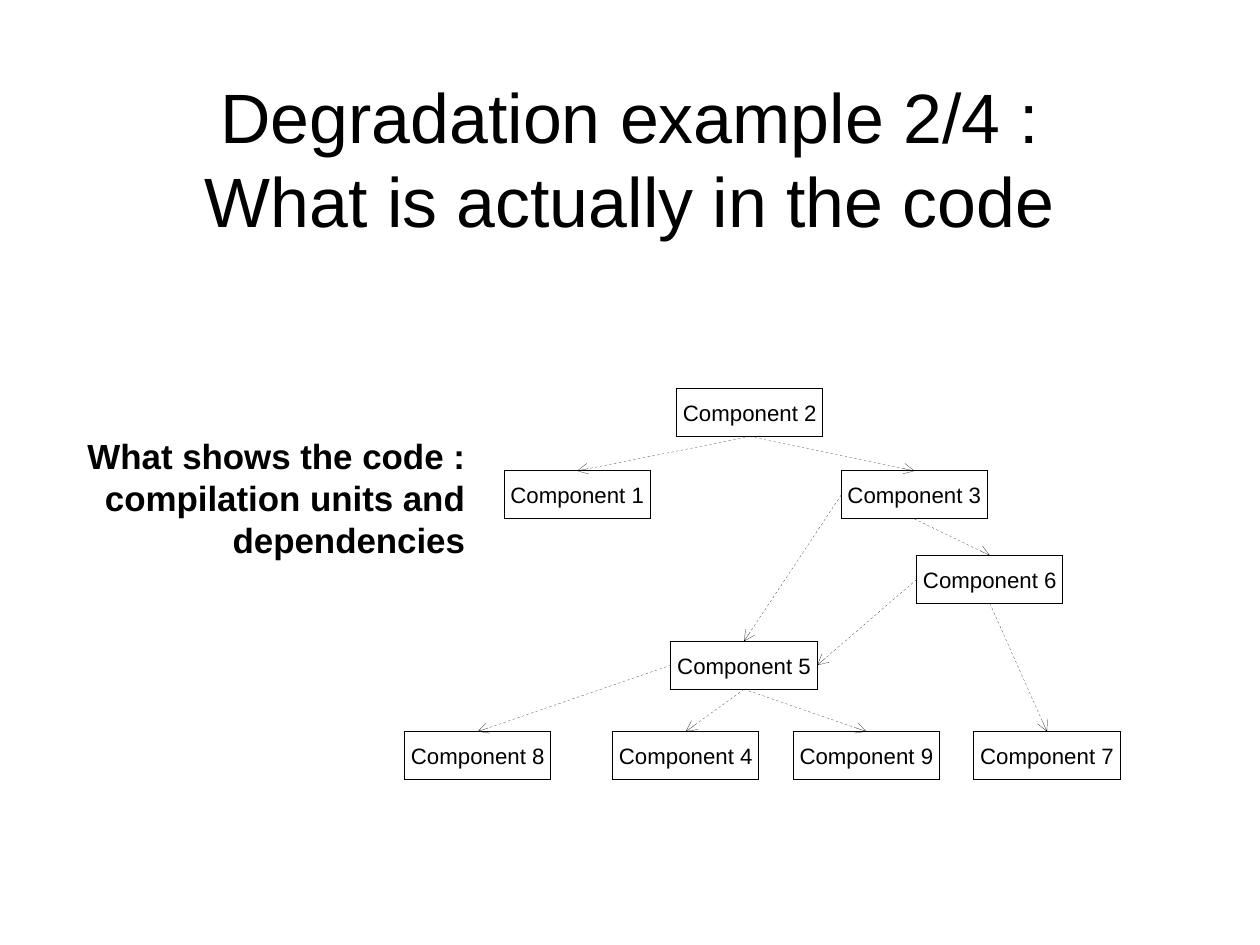
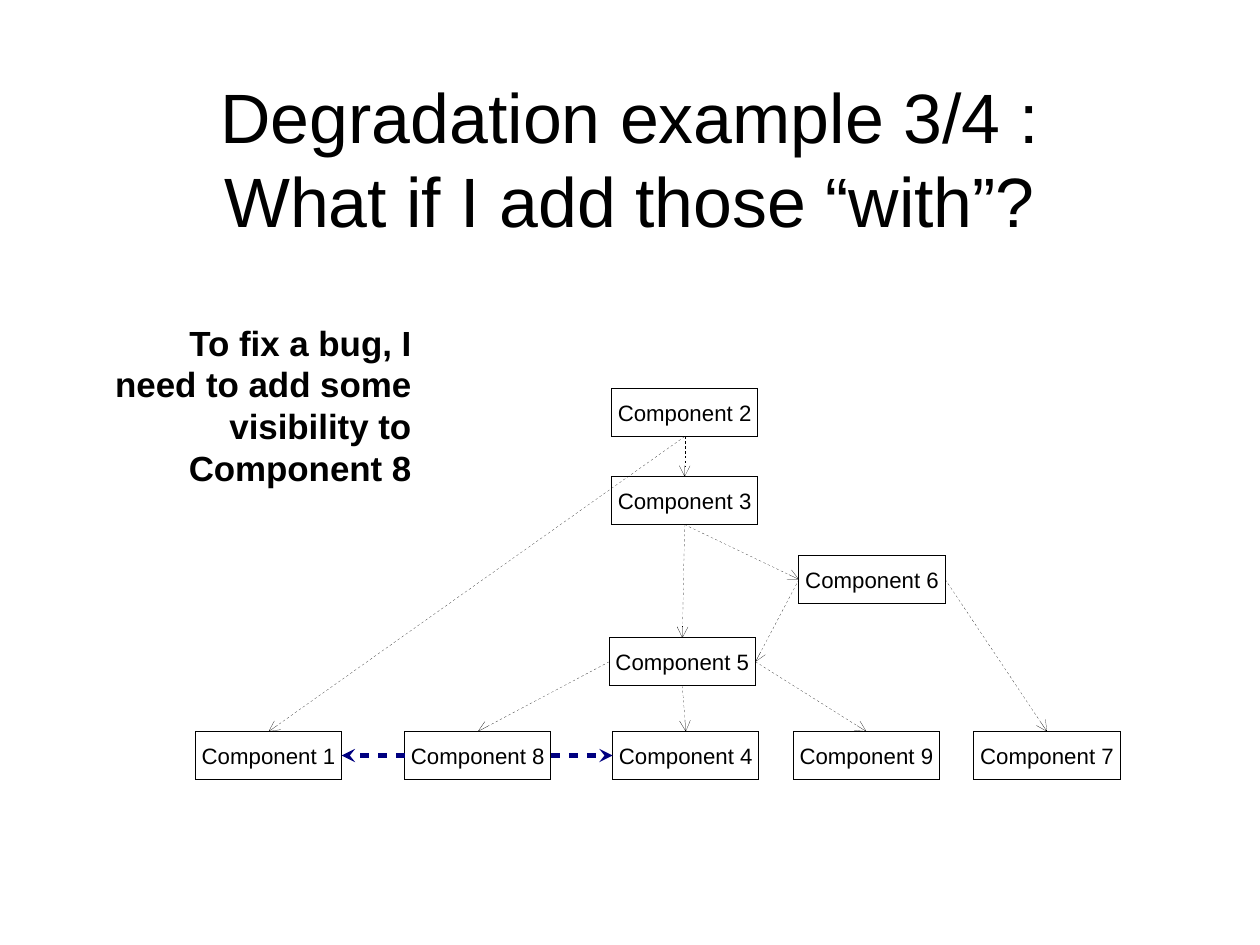
from dataclasses import dataclass

from lxml.etree import SubElement
from pptx import Presentation
from pptx.dml.color import RGBColor
from pptx.enum.shapes import MSO_CONNECTOR, MSO_SHAPE
from pptx.enum.text import MSO_ANCHOR, MSO_AUTO_SIZE, PP_ALIGN
from pptx.oxml.ns import qn
from pptx.util import Inches, Pt


@dataclass(frozen=True)
class Theme:
    font: str = "Arial"
    ink: RGBColor = RGBColor(0x00, 0x00, 0x00)
    accent: RGBColor = RGBColor(0x00, 0x00, 0x80)
    title_size: float = 44
    note_size: float = 22
    label_size: float = 14
    hairline: float = 0.01
    thick_line: float = 2.83


theme = Theme()
TOP, LEFT, BOTTOM, RIGHT = range(4)
BOX_WIDTH, BOX_HEIGHT = 1.28, 0.42

# Components that keep their place on both slides: number -> left, top
bottom_row = {number: (left, 6.4) for number, left in
              {8: 3.54, 4: 5.36, 9: 6.94, 7: 8.52}.items()}

# Dependencies: from component, its side, to component, its side
slides = [
    {
        "title": ["Degradation example 2/4 :", "What is actually in the code"],
        "note": "What shows the code : compilation units and dependencies",
        "note_box": (0.64, 3.8, 3.43, 1.44),
        "components": {1: (4.41, 4.12), 3: (7.36, 4.12), 2: (5.92, 3.4),
                       6: (8.02, 4.86), 5: (5.87, 5.61)},
        "dependencies": [
            (3, LEFT, 5, TOP), (3, BOTTOM, 6, TOP), (5, BOTTOM, 9, TOP),
            (5, BOTTOM, 4, TOP), (5, LEFT, 8, TOP), (2, BOTTOM, 3, TOP),
            (2, BOTTOM, 1, TOP), (6, BOTTOM, 7, TOP), (6, LEFT, 5, RIGHT),
        ],
        "added": [],
    },
    {
        "title": ["Degradation example 3/4 :", "What if I add those “with”?"],
        "note": "To fix a bug, I need to add some visibility to Component 8",
        "note_box": (0.99, 2.81, 2.61, 1.58),
        "components": {1: (1.71, 6.4), 3: (5.35, 4.17), 2: (5.35, 3.4),
                       6: (6.99, 4.86), 5: (5.33, 5.58)},
        "dependencies": [
            (3, BOTTOM, 5, TOP), (3, BOTTOM, 6, LEFT), (5, RIGHT, 9, TOP),
            (5, BOTTOM, 4, TOP), (5, LEFT, 8, TOP), (2, BOTTOM, 3, TOP),
            (2, BOTTOM, 1, TOP), (6, RIGHT, 7, TOP), (6, LEFT, 5, RIGHT),
        ],
        "added": [(8, LEFT, 1, RIGHT), (8, RIGHT, 4, LEFT)],
    },
]


def write_text(shape, lines, size, align, anchor, margin=0, bold=False, wrap=True):
    frame = shape.text_frame
    frame_format = {"word_wrap": wrap, "auto_size": MSO_AUTO_SIZE.NONE,
                    "vertical_anchor": anchor}
    for side in ("left", "top", "right", "bottom"):
        frame_format[f"margin_{side}"] = Inches(margin)
    for name, value in frame_format.items():
        setattr(frame, name, value)
    paragraph = frame.paragraphs[0]
    paragraph.alignment = align
    for index, line in enumerate(lines):
        if index:
            paragraph.add_line_break()
        run = paragraph.add_run()
        run.text = line
        font_format = {"name": theme.font, "size": Pt(size), "bold": bold}
        for name, value in font_format.items():
            setattr(run.font, name, value)
        run.font.color.rgb = theme.ink


def add_dependency(slide, boxes, dependency, color, width, head):
    source, source_side, target, target_side = dependency
    connector = slide.shapes.add_connector(MSO_CONNECTOR.STRAIGHT, 0, 0, 0, 0)
    connector.begin_connect(boxes[source], source_side)
    connector.end_connect(boxes[target], target_side)
    connector.line.color.rgb = color
    connector.line.width = Pt(width)
    # Even dashes, arrowhead and no shadow
    properties = connector.line._get_or_add_ln()
    dashes = SubElement(properties, qn("a:custDash"))
    SubElement(dashes, qn("a:ds"), d="200000", sp="200000")
    SubElement(properties, qn("a:tailEnd"), type=head)
    SubElement(connector._element.spPr, qn("a:effectLst"))


# Page of 28 by 21 centimetres
presentation = Presentation()
presentation.slide_width = Inches(28 / 2.54)
presentation.slide_height = Inches(21 / 2.54)

for content in slides:
    slide = presentation.slides.add_slide(presentation.slide_layouts[5])

    # Title
    title = slide.shapes.title
    title_box = {"left": 0.81, "top": 0.62, "width": 9.41, "height": 1.52}
    for name, value in title_box.items():
        setattr(title, name, Inches(value))
    write_text(title, content["title"], theme.title_size, PP_ALIGN.CENTER,
               MSO_ANCHOR.MIDDLE)

    # Component boxes
    boxes = {}
    for number, (left, top) in (content["components"] | bottom_row).items():
        box = slide.shapes.add_shape(
            MSO_SHAPE.RECTANGLE, Inches(left), Inches(top),
            Inches(BOX_WIDTH), Inches(BOX_HEIGHT))
        box.shadow.inherit = False
        box.fill.background()
        box.line.color.rgb = theme.ink
        box.line.width = Pt(theme.hairline)
        write_text(box, [f"Component {number}"], theme.label_size,
                   PP_ALIGN.CENTER, MSO_ANCHOR.MIDDLE, margin=0.04, wrap=False)
        boxes[number] = box

    # Existing and added dependencies
    for dependency in content["dependencies"]:
        add_dependency(slide, boxes, dependency, theme.ink, theme.hairline, "arrow")
    for dependency in content["added"]:
        add_dependency(slide, boxes, dependency, theme.accent, theme.thick_line,
                       "stealth")

    # Note
    note = slide.shapes.add_textbox(*map(Inches, content["note_box"]))
    write_text(note, [content["note"]], theme.note_size, PP_ALIGN.RIGHT,
               MSO_ANCHOR.TOP, bold=True)

presentation.save("out.pptx")
